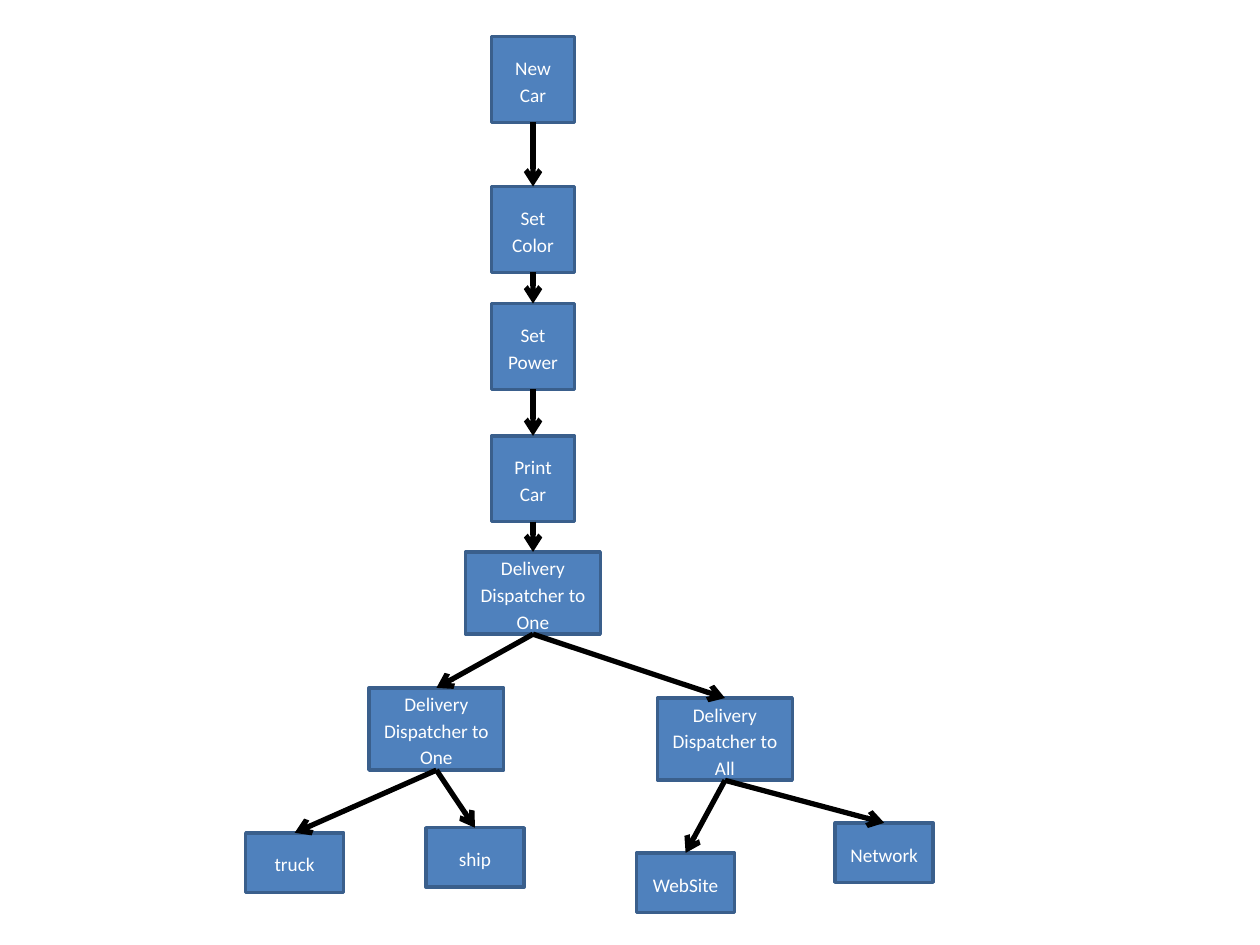
from dataclasses import dataclass

from lxml import etree
from pptx import Presentation
from pptx.dml.color import RGBColor
from pptx.enum.shapes import MSO_CONNECTOR, MSO_SHAPE
from pptx.enum.text import MSO_ANCHOR, PP_ALIGN
from pptx.oxml.ns import qn
from pptx.util import Pt

RECT = MSO_SHAPE.RECTANGLE
STRAIGHT = MSO_CONNECTOR.STRAIGHT
MIDDLE = MSO_ANCHOR.MIDDLE
CENTER = PP_ALIGN.CENTER
TOP, BOTTOM = 0, 2  # connection sites of a rectangle


@dataclass(frozen=True)
class Theme:
    """Colours, font and sizes of the slide."""
    fill: str = "4F81BD"
    edge: str = "3A5F8C"
    text: str = "FFFFFF"
    arrow: str = "000000"
    font: str = "Calibri"
    size: float = 11
    border: float = 2
    stroke: float = 3


THEME = Theme()
STEP = (47.5, 49)
HUB = (77, 47)
LEAF = (56, 34)


def color(code):
    """Turn a hex code into a colour."""
    return RGBColor.from_string(code)


def write(shape, text, size=THEME.size, tint=THEME.text, align=CENTER):
    """Put formatted text into a shape."""
    frame = shape.text_frame
    frame.word_wrap = True
    frame.vertical_anchor = MIDDLE
    para = frame.paragraphs[0]
    para.alignment = align
    para.line_spacing = 1.15
    para.space_after = Pt(10)
    run = para.add_run()
    run.text = text
    run.font.name = THEME.font
    run.font.size = Pt(size)
    run.font.color.rgb = color(tint)


def node(slide, text, mid, top, size):
    """Draw a labelled box centred on mid."""
    width, height = size
    shape = slide.shapes.add_shape(
        RECT, Pt(mid - width / 2), Pt(top), Pt(width), Pt(height))
    shape.shadow.inherit = False
    shape.fill.solid()
    shape.fill.fore_color.rgb = color(THEME.fill)
    shape.line.color.rgb = color(THEME.edge)
    shape.line.width = Pt(THEME.border)
    write(shape, text)
    return shape


def link(slide, start, end):
    """Join the bottom of one box to the top of another by an arrow."""
    line = slide.shapes.add_connector(STRAIGHT, 0, 0, 0, 0)
    line.begin_connect(start, BOTTOM)
    line.end_connect(end, TOP)
    line.line.color.rgb = color(THEME.arrow)
    line.line.width = Pt(THEME.stroke)
    etree.SubElement(line.line._get_or_add_ln(), qn("a:tailEnd"), type="arrow")
    etree.SubElement(line._element.spPr, qn("a:effectLst"))


def chain(slide, mid, top):
    """Draw the column of steps that ends in the main hub, and return the hub."""
    steps = [("New Car", 0, STEP), ("Set Color", 85.7, STEP),
             ("Set Power", 152.6, STEP), ("Print Car", 228.2, STEP),
             ("Delivery Dispatcher to One", 294.5, HUB)]
    nodes = [node(slide, text, mid, top + drop, size)
             for text, drop, size in steps]
    for start, end in zip(nodes, nodes[1:]):
        link(slide, start, end)
    return nodes[-1]


def branch(slide, root, text, mid, top, leaves):
    """Draw a hub under root, with leaves placed relative to the hub."""
    hub = node(slide, text, mid, top, HUB)
    link(slide, root, hub)
    for label, shift, drop in leaves:
        link(slide, hub, node(slide, label, mid + shift, top + drop, LEAF))


def main():
    """Build and save the slide."""
    deck = Presentation()
    deck.slide_width, deck.slide_height = Pt(720), Pt(540)
    slide = deck.slides.add_slide(deck.slide_layouts[6])
    root = chain(slide, 304.6, 20.9)
    branch(slide, root, "Delivery Dispatcher to One", 249.4, 393.1,
           [("truck", -81, 82.8), ("ship", 22, 79.9)])
    branch(slide, root, "Delivery Dispatcher to All", 414.3, 398.9,
           [("WebSite", -22.5, 88.5), ("Network", 91, 71.3)])
    deck.save("out.pptx")


main()
